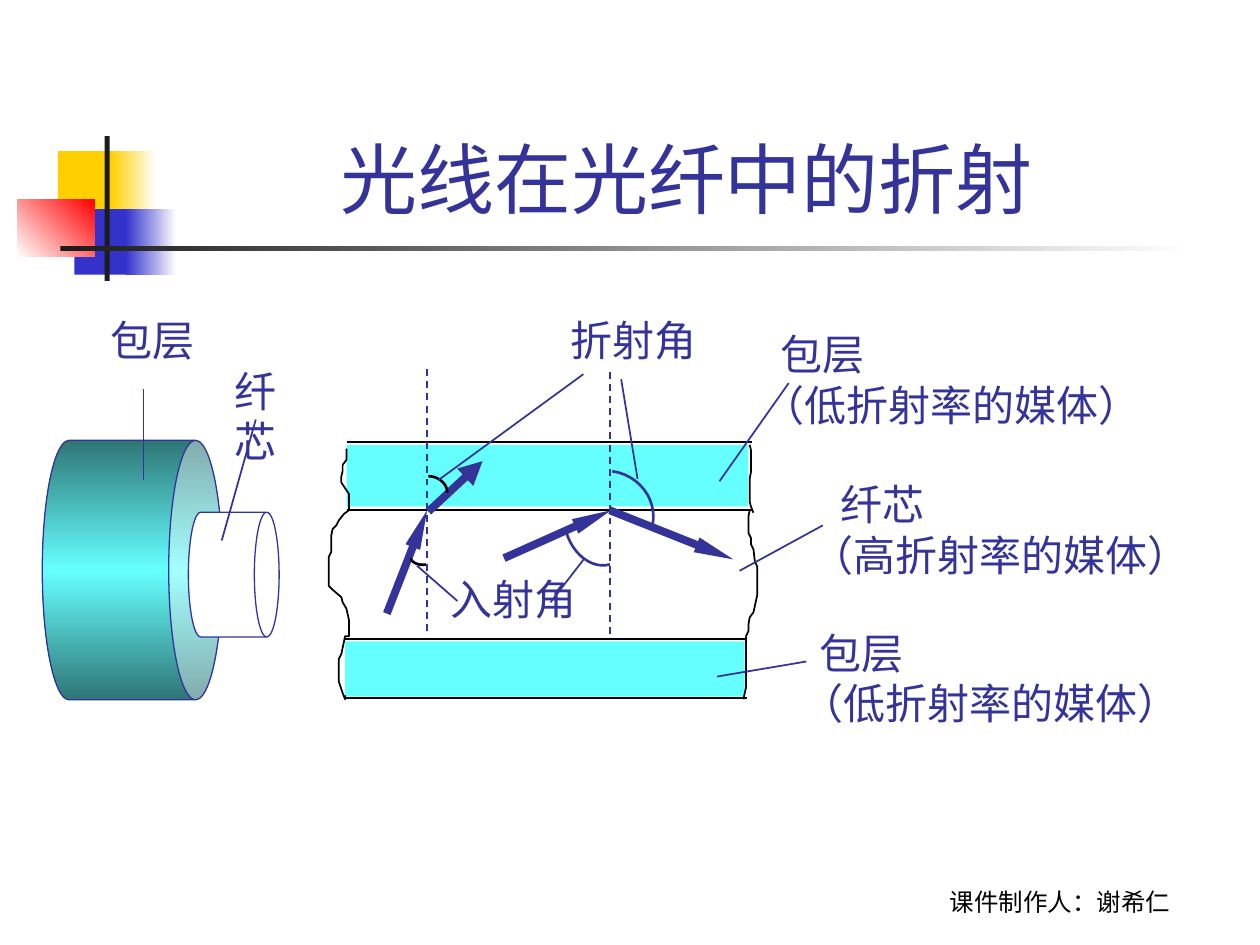
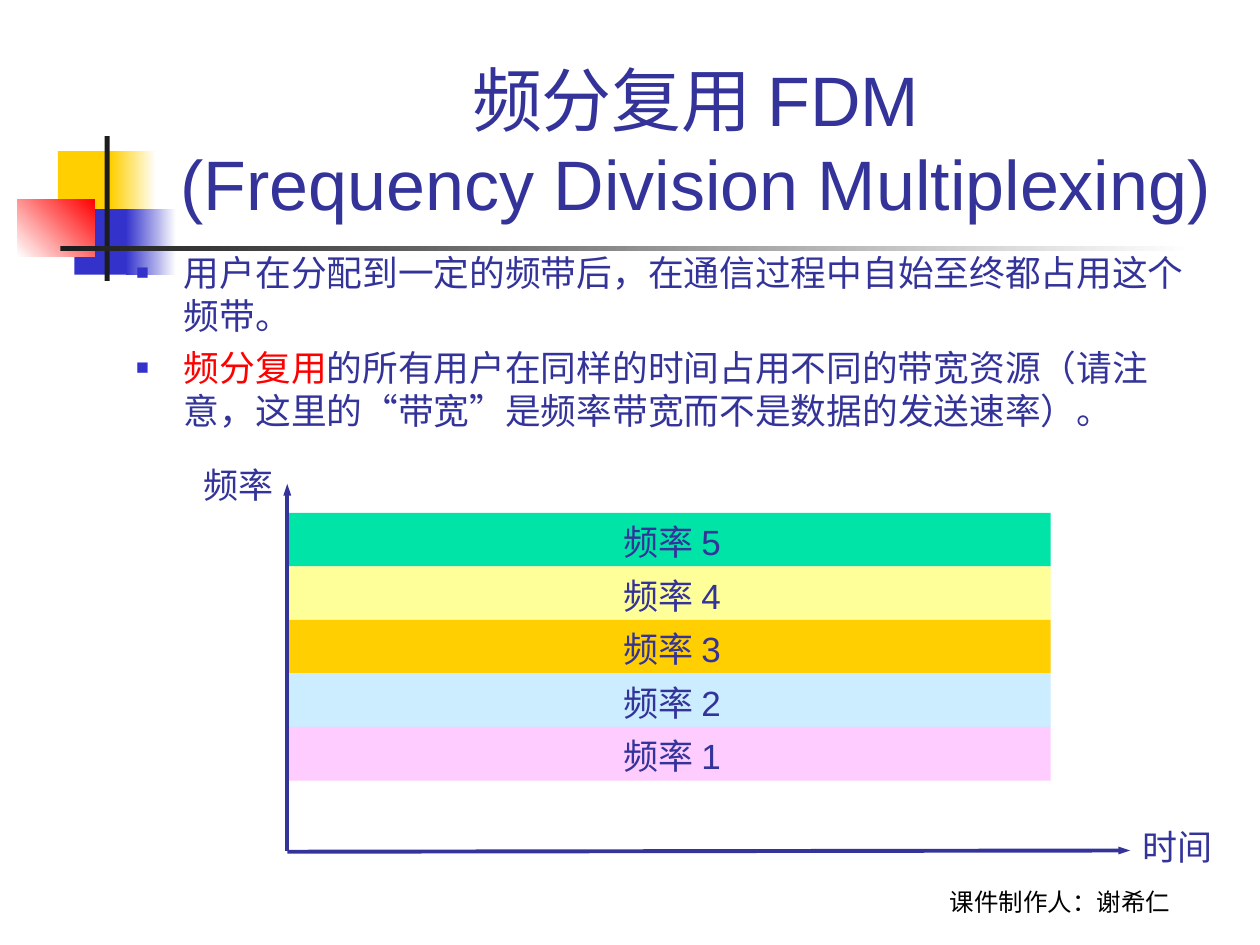
from lxml.etree import SubElement
from pptx import Presentation
from pptx.dml.color import RGBColor
from pptx.enum.dml import MSO_LINE
from pptx.enum.shapes import MSO_CONNECTOR, MSO_SHAPE
from pptx.enum.text import MSO_ANCHOR, MSO_AUTO_SIZE, PP_ALIGN
from pptx.oxml.ns import qn
from pptx.util import Inches, Pt

COLORS = {
    "ink": "333399", "black": "000000", "white": "FFFFFF", "red": "FF0000",
    "gold": "FFCF01", "blue": "3333CC", "bar": "1C1C1C",
    "cladding": "66FFFF", "cladding_dark": "2F7676",
    "green": "00E4A8", "yellow": "FFFF99", "sky": "CCECFF", "pink": "FFCCFF",
}
FOOTER = "课件制作人：谢希仁"
TITLE_BOX = (1.26, 0.23, 8.52, 1.6)

DECORATIONS = [
    ((0.46, 1.2, 0.48, 0.52), ["gold"], 0),
    ((0.88, 1.2, 0.36, 0.52), ["gold", "white"], 0),
    ((0.59, 1.66, 0.46, 0.52), ["blue"], 0),
    ((1, 1.66, 0.4, 0.52), ["blue", "white"], 0),
    ((0.14, 1.58, 0.61, 0.46), ["white", "red"], 45),
    ((0.83, 1.08, 0.04, 1.15), ["bar"], 0),
    ((0.48, 1.95, 9, 0.04), ["bar", "white"], 0),
]

REFRACTION_TITLE = ["光线在光纤中的折射 "]
CLADDING_LAYERS = [
    ((2.75, 3.53, 3.19, 0.49), (2.75, 5.97), (3.51, 4.05)),
    ((2.74, 5.09, 3.17, 0.44), (2.73, 5.93), (5.07, 5.54)),
]
NORMALS = [((3.39, 2.93), (3.39, 5.05)), ((4.84, 2.95), (4.84, 5.07))]
WIDE_HEAD, LONG_HEAD, SLIM_HEAD = ("med", "med"), ("sm", "lg"), ("sm", "med")
RAYS = [
    ((3.4, 4.06), (3.83, 3.66), WIDE_HEAD),
    ((3.07, 4.87), (3.39, 4.05), LONG_HEAD),
    ((4, 4.43), (4.85, 4.05), LONG_HEAD),
    ((4.84, 4.05), (5.82, 4.44), LONG_HEAD),
]
ANGLE_ARCS = [
    ([(3.38, 4.48), (3.33, 4.49), (3.27, 4.47), (3.26, 4.43)], "black"),
    ([(3.4, 3.78), (3.48, 3.78), (3.55, 3.84), (3.55, 3.91)], "black"),
    ([(4.84, 4.48), (4.7, 4.52), (4.54, 4.4), (4.49, 4.21)], "ink"),
    ([(4.86, 3.74), (5.07, 3.77), (5.22, 3.96), (5.18, 4.17)], "ink"),
]
BROKEN_EDGES = [
    [(2.75, 3.56), (2.75, 3.65), (2.72, 3.69), (2.72, 3.74), (2.71, 3.78),
     (2.71, 3.83), (2.77, 3.92), (2.77, 4.05), (2.73, 4.08), (2.69, 4.13),
     (2.67, 4.17), (2.64, 4.2), (2.63, 4.25), (2.63, 4.38), (2.61, 4.42),
     (2.61, 4.65), (2.64, 4.68), (2.71, 4.74), (2.72, 4.78), (2.75, 4.83),
     (2.77, 4.92), (2.77, 5.05), (2.74, 5.05), (2.71, 5.19), (2.69, 5.23),
     (2.69, 5.41), (2.72, 5.5), (2.74, 5.55), (2.74, 5.52)],
    [(5.95, 3.53), (5.96, 3.57), (5.96, 3.75), (5.95, 3.8), (5.95, 3.98),
     (5.96, 4.02), (5.98, 4.07)],
    [(5.95, 4.05), (5.94, 4.1), (5.94, 4.23), (5.96, 4.27), (5.96, 4.32),
     (5.98, 4.36), (5.99, 4.45), (6.01, 4.5), (6.01, 4.72), (5.98, 4.86),
     (5.95, 4.9), (5.94, 4.96), (5.94, 5.01), (5.92, 5.05)],
    [(5.92, 5.05), (5.92, 5.46), (5.9, 5.55)],
]
FIBER_CANS = [
    ((0.02, 3.81, 2.06, 1.43), 0.298, ["cladding_dark", "cladding", "cladding_dark"]),
    ((1.36, 4.2, 0.99, 0.72), 0.273, ["white"]),
]
LEADERS = [
    ((4.93, 3.01), (5.06, 3.8)), ((3.48, 3.81), (4.63, 2.97)),
    ((3.31, 4.49), (3.63, 4.77)), ((4.37, 4.78), (4.64, 4.43)),
    ((5.87, 4.53), (6.53, 4.17)), ((6.26, 3.04), (5.71, 3.82)),
    ((6.4, 5.25), (5.69, 5.37)), ((1.14, 3.09), (1.14, 3.81)),
    ((2.03, 3.33), (1.76, 4.29)),
]
FIBER_LABELS = [
    ((4.43, 2.45, 1.3, 0.5), ["折射角"], 0),
    ((3.48, 4.5, 1.3, 0.5), ["入射角"], 0),
    ((5.95, 2.56, 3.3, 0.9), ["包层", "（低折射率的媒体）"], 0.15),
    ((6.26, 4.93, 3.3, 0.9), ["包层", "（低折射率的媒体）"], 0.15),
    ((6.34, 3.75, 3.48, 0.9), ["纤芯", "（高折射率的媒体）"], 0.23),
    ((0.78, 2.45, 1, 0.5), ["包层"], 0),
    ((1.76, 2.85, 0.76, 0.9), ["纤芯"], 0),
]

FDM_TITLE = ["频分复用 FDM", "(Frequency Division Multiplexing) "]
FDM_BOX = (0.98, 1.94, 8.66, 1.97)
FDM_POINTS = [
    [("用户在分配到一定的频带后，在通信过程中自始至终都占用这个频带。", "ink")],
    [("频分复用", "red"),
     ("的所有用户在同样的时间占用不同的带宽资源（请注意，这里的“带宽”是频率带宽而不是数据的发送速率）。", "ink")],
]
FREQUENCY_BANDS = [("频率 5", "green"), ("频率 4", "yellow"), ("频率 3", "gold"),
                   ("频率 2", "sky"), ("频率 1", "pink")]
BAND_LEFT, BAND_TOP, BAND_WIDTH, BAND_STEP = 2.28, 4.07, 6.06, 0.425
AXES = [((2.28, 6.76), (8.97, 6.75)), ((2.28, 6.75), (2.28, 3.84))]
AXIS_LABELS = [("频率", (1.52, 3.67, 0.9, 0.4)), ("时间", (8.97, 6.54, 0.9, 0.4))]


def rgb(name):
    return RGBColor.from_string(COLORS[name])


def inches(values):
    return [Inches(value) for value in values]


def add_run(paragraph, text, size, color="ink", font="Arial"):
    run = paragraph.add_run()
    run.text = text
    run.font.size = Pt(size)
    run.font.name = font
    run.font.color.rgb = rgb(color)


def paint(shape, colors, angle=0):
    shape.shadow.inherit = False
    if len(colors) == 1:
        shape.fill.solid()
        shape.fill.fore_color.rgb = rgb(colors[0])
        return
    shape.fill.gradient()
    shape.fill.gradient_angle = angle
    stops = shape._element.spPr.find(qn("a:gradFill")).find(qn("a:gsLst"))
    for stop in list(stops):
        stops.remove(stop)
    for index, color in enumerate(colors):
        position = 100000 * index // (len(colors) - 1)
        stop = SubElement(stops, qn("a:gs"), pos=str(position))
        SubElement(stop, qn("a:srgbClr"), val=COLORS[color])


def add_block(slide, box, colors, angle=0):
    block = slide.shapes.add_shape(MSO_SHAPE.RECTANGLE, *inches(box))
    paint(block, colors, angle)
    block.line.fill.background()


def add_line(slide, start, end, width=1, color="ink", dashed=False, head=None):
    connector = slide.shapes.add_connector(MSO_CONNECTOR.STRAIGHT, *inches(start + end))
    connector.line.color.rgb = rgb(color)
    connector.line.width = Pt(width)
    if dashed:
        connector.line.dash_style = MSO_LINE.DASH
    properties = connector._element.spPr
    if head:
        SubElement(properties.find(qn("a:ln")), qn("a:tailEnd"),
                   type="triangle", w=head[0], len=head[1])
    SubElement(properties, qn("a:effectLst"))


def add_outline(slide, points, width=1, color="black"):
    corners = [inches(point) for point in points]
    builder = slide.shapes.build_freeform(*corners[0])
    builder.add_line_segments(corners[1:], close=False)
    outline = builder.convert_to_shape()
    outline.shadow.inherit = False
    outline.fill.background()
    outline.line.color.rgb = rgb(color)
    outline.line.width = Pt(width)


def curve_points(controls, steps=12):
    points = []
    for step in range(steps + 1):
        t = step / steps
        weights = ((1 - t) ** 3, 3 * t * (1 - t) ** 2, 3 * t * t * (1 - t), t ** 3)
        points.append([sum(weight * control[axis] for weight, control in zip(weights, controls))
                       for axis in (0, 1)])
    return points


def add_label(slide, box, lines, size, font="Arial", color="ink", spacing=None,
              first_indent=0, align=None, anchor=MSO_ANCHOR.TOP):
    frame = slide.shapes.add_textbox(*inches(box)).text_frame
    frame.word_wrap = True
    frame.vertical_anchor = anchor
    for index, line in enumerate(lines):
        paragraph = frame.paragraphs[0] if index == 0 else frame.add_paragraph()
        paragraph.alignment = align
        paragraph.line_spacing = spacing
        if index == 0 and first_indent:
            paragraph._p.get_or_add_pPr().set("marL", str(Inches(first_indent)))
        add_run(paragraph, line, size, color, font)


def place(slide, placeholder, box, anchor):
    slide.shapes._spTree.append(placeholder._element)
    placeholder.left, placeholder.top, placeholder.width, placeholder.height = inches(box)
    frame = placeholder.text_frame
    frame.word_wrap = True
    frame.auto_size = MSO_AUTO_SIZE.NONE
    frame.vertical_anchor = anchor
    return frame


def start_slide(presentation, layout_index, title_lines, title_size):
    slide = presentation.slides.add_slide(presentation.slide_layouts[layout_index])
    for box, colors, angle in DECORATIONS:
        add_block(slide, box, colors, angle)
    add_label(slide, (6.83, 6.82, 3.17, 0.5), [FOOTER], 14, "Cabin", "black",
              align=PP_ALIGN.CENTER, anchor=MSO_ANCHOR.BOTTOM)
    frame = place(slide, slide.shapes.title, TITLE_BOX, MSO_ANCHOR.BOTTOM)
    paragraph = frame.paragraphs[0]
    paragraph.alignment = PP_ALIGN.CENTER
    for index, line in enumerate(title_lines):
        if index:
            paragraph.add_line_break()
        add_run(paragraph, line, title_size)
    return slide


def add_bullet(paragraph):
    properties = paragraph._p.get_or_add_pPr()
    properties.set("marL", str(Inches(0.38)))
    properties.set("indent", str(Inches(-0.38)))
    properties.set("hangingPunct", "0")
    color = SubElement(properties, qn("a:buClr"))
    SubElement(color, qn("a:srgbClr"), val=COLORS["blue"])
    SubElement(properties, qn("a:buSzPct"), val="60000")
    SubElement(properties, qn("a:buFont"), typeface="Arial")
    SubElement(properties, qn("a:buChar"), char="■")


def build_refraction(presentation):
    slide = start_slide(presentation, 5, REFRACTION_TITLE, 44)
    for box, (left, right), heights in CLADDING_LAYERS:
        for y in heights:
            add_line(slide, (left, y), (right, y), color="black")
        add_block(slide, box, ["cladding"])
    for start, end in NORMALS:
        add_line(slide, start, end, dashed=True)
    for start, end, head in RAYS:
        add_line(slide, start, end, 4.5, head=head)
    for controls, color in ANGLE_ARCS:
        add_outline(slide, curve_points(controls), 1.5, color)
    for edge in BROKEN_EDGES:
        add_outline(slide, edge)
    for box, depth, colors in FIBER_CANS:
        can = slide.shapes.add_shape(MSO_SHAPE.CAN, *inches(box))
        can.rotation = 90
        can.adjustments[0] = depth
        paint(can, colors)
        can.line.color.rgb = rgb("ink")
        can.line.width = Pt(0.75)
    for start, end in LEADERS:
        add_line(slide, start, end)
    for box, lines, indent in FIBER_LABELS:
        add_label(slide, box, lines, 24, first_indent=indent)


def build_fdm(presentation):
    slide = start_slide(presentation, 1, FDM_TITLE, 40)
    frame = place(slide, slide.placeholders[1], FDM_BOX, MSO_ANCHOR.TOP)
    for index, runs in enumerate(FDM_POINTS):
        paragraph = frame.add_paragraph() if index else frame.paragraphs[0]
        add_bullet(paragraph)
        paragraph.space_before = Pt(5.5 if index else 0)
        for text, color in runs:
            add_run(paragraph, text, 20.4, color)
    for index, (name, color) in enumerate(FREQUENCY_BANDS):
        top = BAND_TOP + index * BAND_STEP
        add_block(slide, (BAND_LEFT, top, BAND_WIDTH, BAND_STEP), [color])
        add_label(slide, (4.85, top + 0.05, 1.2, 0.4), [name], 20, spacing=0.9)
    for start, end in AXES:
        add_line(slide, start, end, 2.25, head=SLIM_HEAD)
    for name, box in AXIS_LABELS:
        add_label(slide, box, [name], 20, "Times New Roman", spacing=0.9)


def main():
    presentation = Presentation()
    presentation.slide_width, presentation.slide_height = Inches(10), Inches(7.5)
    build_refraction(presentation)
    build_fdm(presentation)
    presentation.save("out.pptx")


if __name__ == "__main__":
    main()
